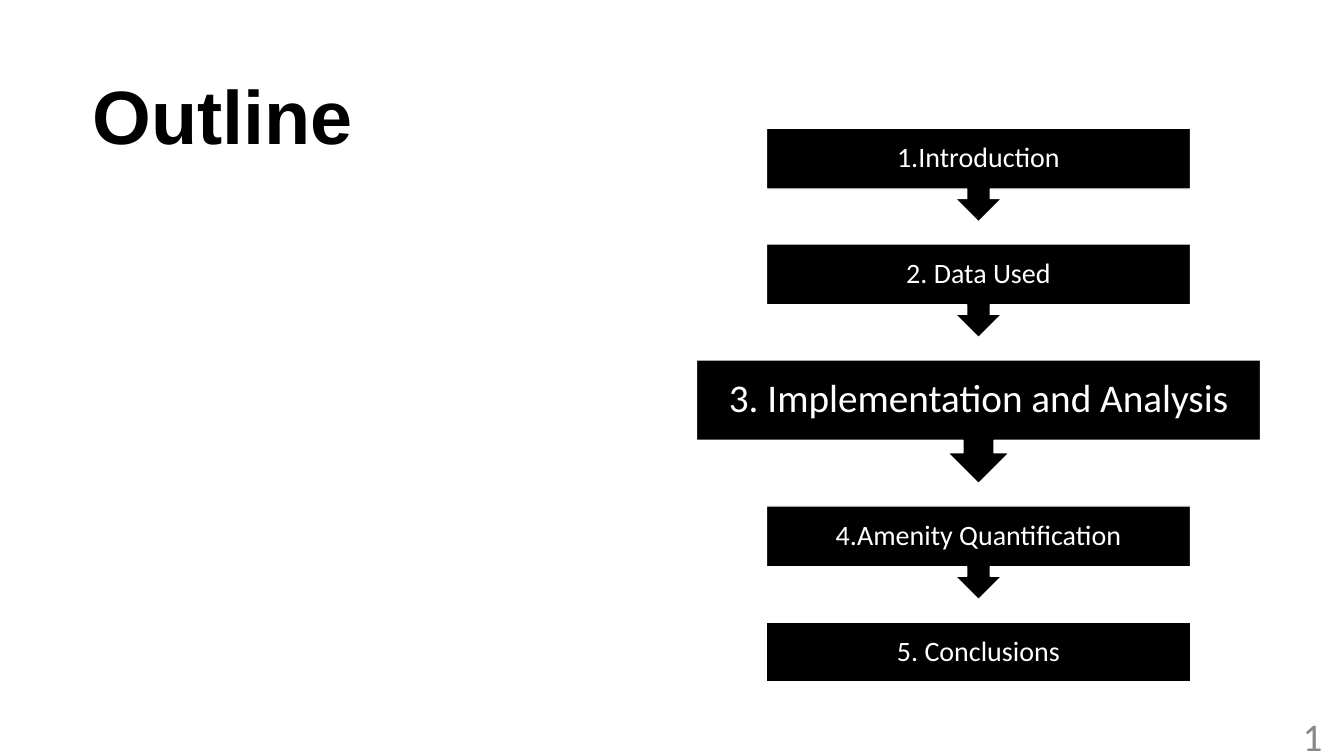
from lxml import etree
from pptx import Presentation
from pptx.dml.color import RGBColor
from pptx.enum.shapes import MSO_SHAPE as Shape
from pptx.enum.text import MSO_ANCHOR as Anchor, PP_ALIGN as Align
from pptx.oxml import parse_xml
from pptx.oxml.ns import nsdecls
from pptx.util import Cm, Pt


def color(hex_code):
    return RGBColor.from_string(hex_code)


def style_text(para, font_name, size, hex_code, align, bold=False):
    para.alignment = align
    for span in para.runs:
        span.font.name = font_name
        span.font.size = Pt(size)
        span.font.bold = bold
        span.font.color.rgb = color(hex_code)


deck = Presentation()
deck.slide_width, deck.slide_height = Cm(33.87), Cm(19.05)
page = deck.slides.add_slide(deck.slide_layouts[5])

# Title
title = page.shapes.title
title.left, title.top, title.width, title.height = Cm(2.08), Cm(1.96), Cm(13.54), Cm(2.21)
title.text_frame.text = "Outline"
title.text_frame.vertical_anchor = Anchor.BOTTOM
title.text_frame.paragraphs[0].line_spacing = 0.9
style_text(title.text_frame.paragraphs[0], "Arial", 54, "000000", Align.LEFT, bold=True)

# Steps: text, width, height, font size; the last one has no arrow
steps = [
    ("1.Introduction", 10.69, 2.36, 20),
    ("2. Data Used", 10.69, 2.36, 20),
    ("3. Implementation and Analysis", 14.22, 3.12, 28),
    ("4.Amenity Quantification", 10.69, 2.36, 20),
    ("5. Conclusions", 10.69, 1.52, 20),
]
center, top, gap = 24.66, 3.23, 0.56
for text, width, height, size in steps:
    is_last = text == steps[-1][0]
    kind = Shape.RECTANGLE if is_last else Shape.DOWN_ARROW_CALLOUT
    box = page.shapes.add_shape(
        kind, Cm(center - width / 2), Cm(top), Cm(width), Cm(height))
    if not is_last:
        for index, value in enumerate((0.25, 0.25, 0.25, 0.65)):
            box.adjustments[index] = value
    box.shadow.inherit = False
    box.fill.solid()
    box.fill.fore_color.rgb = color("000000")
    box.line.color.rgb = color("FFFFFF")
    box.line.width = Pt(1)
    frame = box.text_frame
    frame.text = text
    frame.word_wrap = True
    frame.vertical_anchor = Anchor.MIDDLE
    frame.margin_left = frame.margin_right = Cm(0.3)
    frame.margin_top = frame.margin_bottom = Cm(0.3)
    frame.paragraphs[0].line_spacing = 0.9
    style_text(frame.paragraphs[0], "Calibri", size, "FFFFFF", Align.CENTER)
    top += height + gap

# Slide number as a live field
number = page.shapes.add_textbox(Cm(25.96), Cm(18.03), Cm(7.62), Cm(1.02))
number.text_frame.word_wrap = True
number.text_frame.vertical_anchor = Anchor.MIDDLE
para = number.text_frame.paragraphs[0]
para.text = "1"
style_text(para, "Calibri", 28, "888888", Align.RIGHT)
span = para.runs[0]._r
field = parse_xml(
    f'<a:fld {nsdecls("a")} id="{{B6F15528-21DE-4FAA-801E-634DDDAF4B2B}}" type="slidenum"/>')
span.getparent().replace(span, field)
field.extend(list(span))

deck.save("out.pptx")
